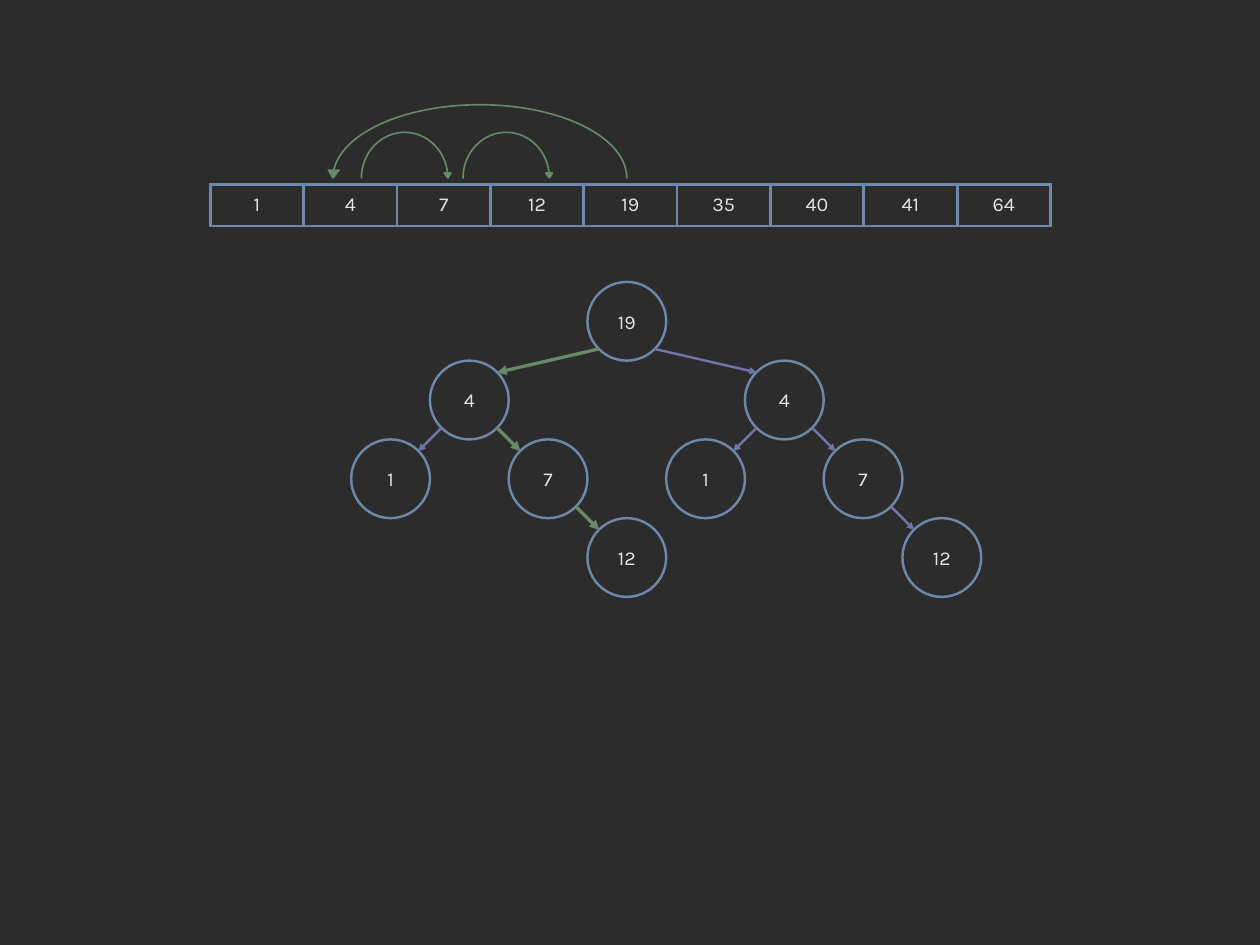
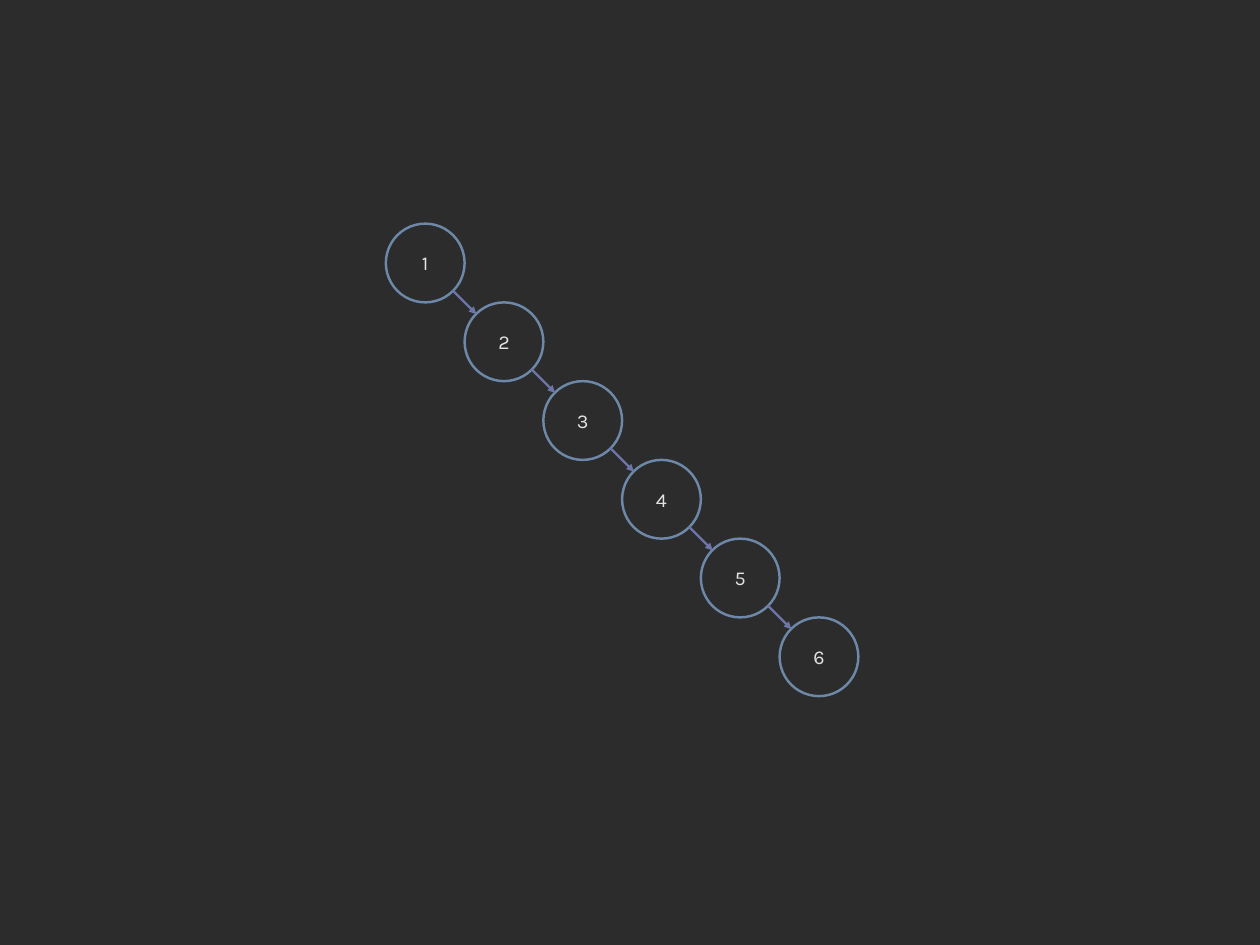
from dataclasses import dataclass
from typing import Any

from lxml import etree
from pptx import Presentation
from pptx.dml.color import RGBColor
from pptx.enum.shapes import MSO_CONNECTOR, MSO_SHAPE
from pptx.enum.text import MSO_ANCHOR, PP_ALIGN
from pptx.oxml.ns import qn
from pptx.shapes.autoshape import Shape
from pptx.slide import Slide
from pptx.util import Emu, Pt

STRAIGHT = MSO_CONNECTOR.STRAIGHT
OVAL, CURVED_ARROW = MSO_SHAPE.OVAL, MSO_SHAPE.CURVED_DOWN_ARROW
MIDDLE, CENTER = MSO_ANCHOR.MIDDLE, PP_ALIGN.CENTER

EMU_PER_PX = 9144  # 100 px to the inch
SLIDE_W, SLIDE_H = 1600, 1200
NODE = 100  # diameter; also the step between tree levels
DIAGONAL = 35  # offset from a node's centre to its outline at 45 degrees
SITES = {"top_left": 1, "bottom_left": 3, "bottom_right": 5, "top_right": 7}


@dataclass(frozen=True)
class Theme:
    background: str = "2C2C2C"
    outline: str = "6D88A8"
    text: str = "E4E4E4"
    edge: str = "6E75A8"
    path_edge: str = "668A68"
    font: str = "Karla"
    text_pt: float = 18
    cell_pt: float = 3
    node_pt: float = 2.25
    edge_pt: float = 2.25
    path_pt: float = 3
    jump_pt: float = 1.5


THEME = Theme()


@dataclass(frozen=True)
class Node:
    label: str
    x: int
    y: int


@dataclass(frozen=True)
class Edge:
    parent: Node
    child: Node
    on_path: bool = False


@dataclass(frozen=True)
class Jump:
    """An arc from one array cell to another."""
    x: int
    y: int
    w: int
    h: int
    backwards: bool = False


def px(n: int) -> Emu:
    return Emu(n * EMU_PER_PX)


def rgb(value: str) -> RGBColor:
    return RGBColor.from_string(value)


def apply(target: Any, values: dict[str, Any]) -> None:
    for name, value in values.items():
        setattr(target, name, value)


def set_line(line: Any, color: str, width: float) -> None:
    line.color.rgb = rgb(color)
    line.width = Pt(width)


def set_text(tf: Any, text: str) -> None:
    p = tf.paragraphs[0]
    p.alignment = CENTER
    r = p.add_run()
    r.text = text
    apply(r.font, {"name": THEME.font, "size": Pt(THEME.text_pt), "bold": False})
    r.font.color.rgb = rgb(THEME.text)


def add_cell_borders(cell: Any) -> None:
    tc_pr = cell._tc.get_or_add_tcPr()
    for side in ("lnL", "lnR", "lnT", "lnB"):
        ln = etree.SubElement(tc_pr, qn(f"a:{side}"), w=str(Pt(THEME.cell_pt)))
        fill = etree.SubElement(ln, qn("a:solidFill"))
        etree.SubElement(fill, qn("a:srgbClr"), val=THEME.outline)


def add_array(slide: Slide, values: list[int], x: int, y: int, w: int, h: int) -> None:
    frame = slide.shapes.add_table(1, len(values), px(x), px(y), px(w), px(h))
    table = frame.table
    apply(table, {"first_row": False, "horz_banding": False})
    for col, value in enumerate(values):
        table.columns[col].width = Emu(px(w) // len(values))
        cell = table.cell(0, col)
        cell.vertical_anchor = MIDDLE
        add_cell_borders(cell)
        cell.fill.background()
        set_text(cell.text_frame, str(value))


def add_node(slide: Slide, node: Node) -> Shape:
    s = slide.shapes.add_shape(OVAL, px(node.x), px(node.y), px(NODE), px(NODE))
    s.shadow.inherit = False
    s.fill.background()
    set_line(s.line, THEME.outline, THEME.node_pt)
    s.text_frame.vertical_anchor = MIDDLE
    set_text(s.text_frame, node.label)
    return s


def add_edge(slide: Slide, edge: Edge, start: Shape, end: Shape) -> None:
    """Join the facing diagonals of two nodes, and glue both ends."""
    parent, child = edge.parent, edge.child
    rightward = child.x > parent.x
    dx = DIAGONAL if rightward else -DIAGONAL
    r = NODE // 2
    c = slide.shapes.add_connector(
        STRAIGHT,
        px(parent.x + r + dx), px(parent.y + r + DIAGONAL),
        px(child.x + r - dx), px(child.y + r - DIAGONAL))
    if edge.on_path:
        set_line(c.line, THEME.path_edge, THEME.path_pt)
    else:
        set_line(c.line, THEME.edge, THEME.edge_pt)
    sp_pr = c.element.spPr
    etree.SubElement(sp_pr.find(qn("a:ln")), qn("a:tailEnd"), type="triangle")
    etree.SubElement(sp_pr, qn("a:effectLst"))
    sites = (("bottom_right", "top_left") if rightward
             else ("bottom_left", "top_right"))
    glue = c.element.find(".//" + qn("p:cNvCxnSpPr"))
    for tag, s, site in zip(("stCxn", "endCxn"), (start, end), sites):
        etree.SubElement(glue, qn(f"a:{tag}"),
                         id=str(s.shape_id), idx=str(SITES[site]))


def add_graph(slide: Slide, nodes: list[Node], edges: list[Edge]) -> None:
    shapes = {node: add_node(slide, node) for node in nodes}
    for edge in edges:
        add_edge(slide, edge, shapes[edge.parent], shapes[edge.child])


def add_jump(slide: Slide, jump: Jump) -> None:
    s = slide.shapes.add_shape(
        CURVED_ARROW, px(jump.x), px(jump.y), px(jump.w), px(jump.h))
    s.shadow.inherit = False
    for i, value in enumerate((0, 0.148, 0.107)):
        s.adjustments[i] = value
    s.fill.solid()
    s.fill.fore_color.rgb = rgb(THEME.path_edge)
    set_line(s.line, THEME.path_edge, THEME.jump_pt)
    if jump.backwards:
        s.element.spPr.find(qn("a:xfrm")).set("flipH", "1")


def subtree(root: Node, x: int, on_path: bool) -> tuple[list[Node], list[Edge]]:
    """The branch 4 -> (1, 7 -> 12), one level below the root."""
    y = root.y + NODE
    four = Node("4", x, y)
    one = Node("1", x - NODE, y + NODE)
    seven = Node("7", x + NODE, y + NODE)
    twelve = Node("12", x + 2 * NODE, y + 2 * NODE)
    edges = [Edge(root, four, on_path), Edge(four, one),
             Edge(four, seven, on_path), Edge(seven, twelve, on_path)]
    return [one, four, seven, twelve], edges


def build_search_slide(slide: Slide) -> None:
    add_array(slide, [1, 4, 7, 12, 19, 35, 40, 41, 64], 267, 234, 1067, 53)
    root = Node("19", 746, 358)
    left_nodes, left_edges = subtree(root, root.x - 2 * NODE, True)
    right_nodes, right_edges = subtree(root, root.x + 2 * NODE, False)
    add_graph(slide, [root, *left_nodes, *right_nodes], left_edges + right_edges)
    for jump in (Jump(416, 133, 380, 93, backwards=True),
                 Jump(459, 168, 114, 58),
                 Jump(588, 168, 114, 58)):
        add_jump(slide, jump)


def build_chain_slide(slide: Slide) -> None:
    nodes = [Node(str(i + 1), 490 + i * NODE, 284 + i * NODE) for i in range(6)]
    add_graph(slide, nodes, [Edge(a, b) for a, b in zip(nodes, nodes[1:])])


def main() -> None:
    prs = Presentation()
    apply(prs, {"slide_width": px(SLIDE_W), "slide_height": px(SLIDE_H)})
    fill = prs.slide_master.background.fill
    fill.solid()
    fill.fore_color.rgb = rgb(THEME.background)
    blank = prs.slide_layouts[6]
    for build in (build_search_slide, build_chain_slide):
        build(prs.slides.add_slide(blank))
    prs.save("out.pptx")


if __name__ == "__main__":
    main()
